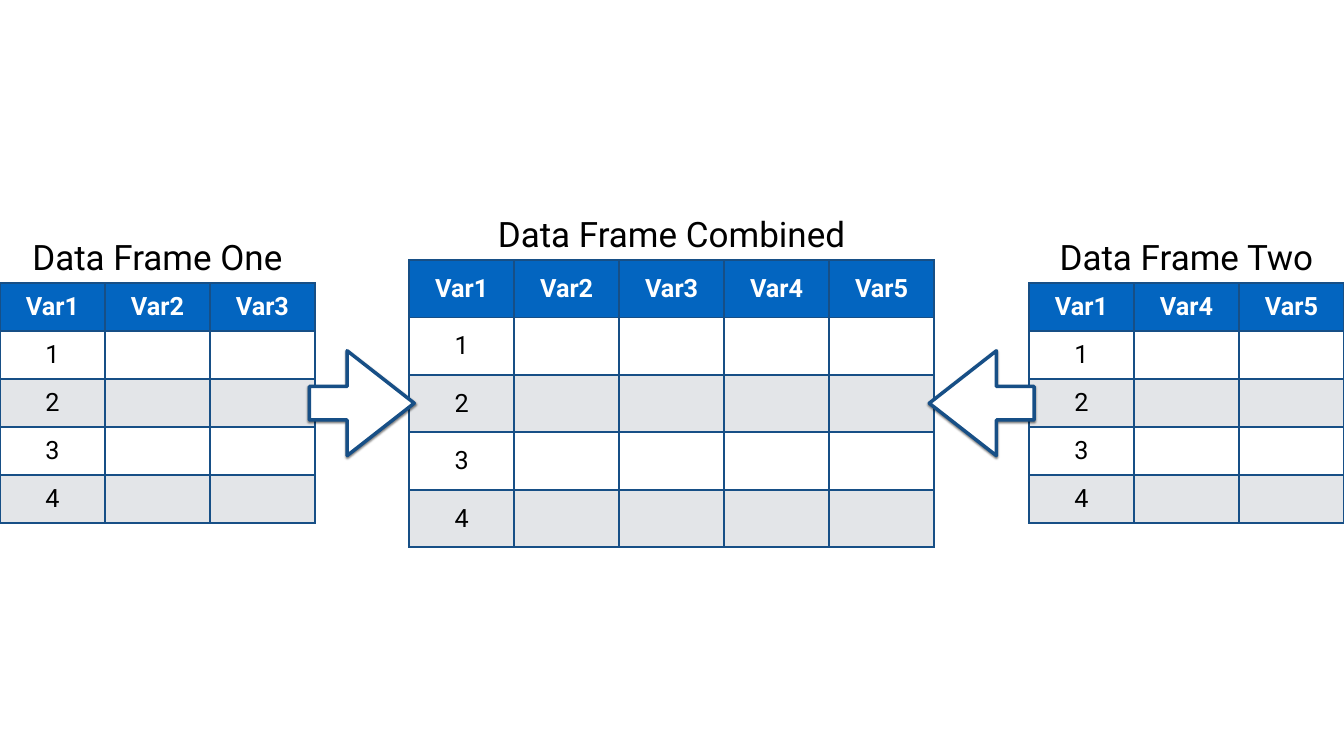
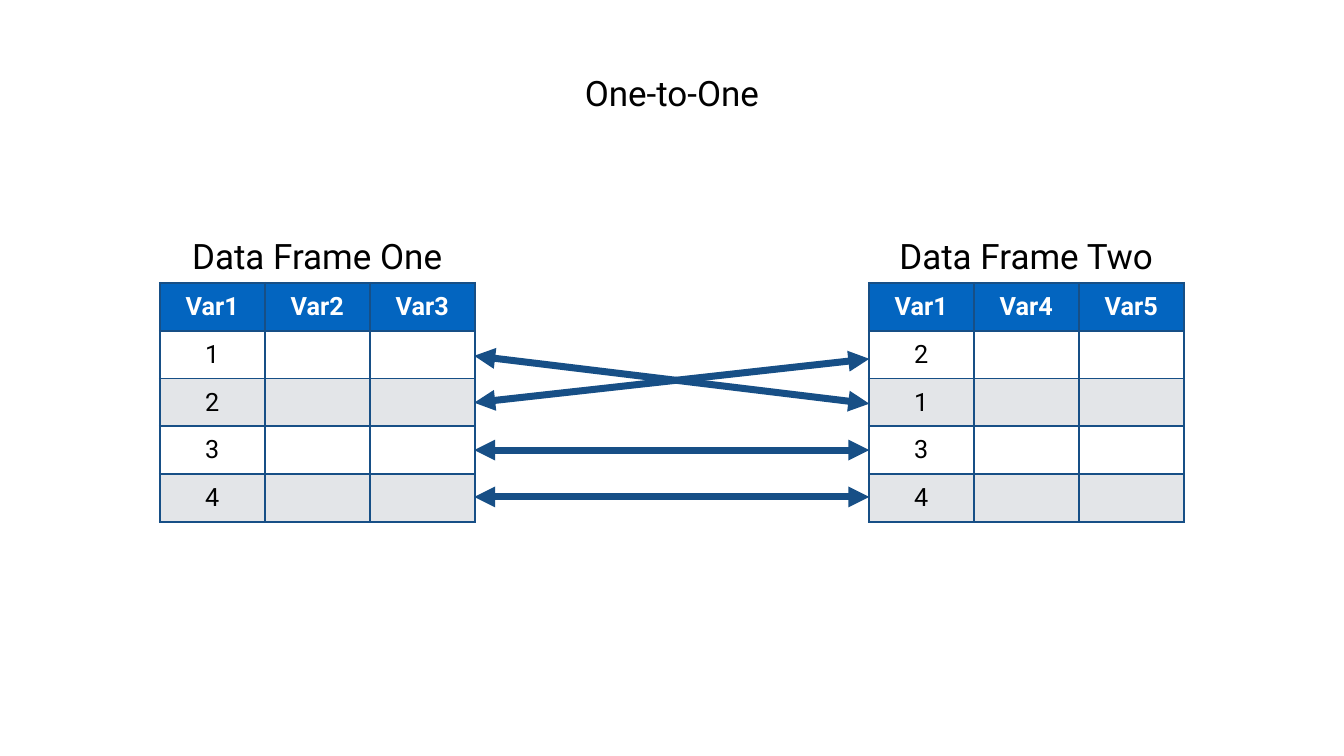
from dataclasses import dataclass

from lxml.etree import SubElement
from pptx import Presentation
from pptx.dml.color import RGBColor as Rgb
from pptx.enum.shapes import MSO_CONNECTOR as Connector, MSO_SHAPE as Preset
from pptx.enum.text import MSO_ANCHOR as Anchor, MSO_AUTO_SIZE as AutoSize, PP_ALIGN as Align
from pptx.oxml.ns import qn
from pptx.util import Inches, Pt


@dataclass(frozen=True)
class Theme:
    font: str = "Roboto"
    caption_size: int = 50
    cell_size: int = 36
    black: str = "000000"
    white: str = "FFFFFF"
    header: str = "0365C0"
    band: str = "E3E5E8"
    outline: str = "174F86"
    border_width: int = 3
    arrow_width: int = 5
    link_width: int = 10


theme = Theme()
SLIDE_WIDTH, SLIDE_HEIGHT = 26.67, 15
COLUMN_WIDTH = 25 / 12
ROW_HEIGHT = 0.95
INSET = Inches(0.06)


def write_text(holder, text, size=theme.caption_size, color=theme.black, bold=False):
    """Fill a text frame or a table cell with one centred, middle-anchored line."""
    holder.margin_left = holder.margin_right = INSET
    holder.margin_top = holder.margin_bottom = INSET
    holder.vertical_anchor = Anchor.MIDDLE
    frame = getattr(holder, "text_frame", holder)
    frame.word_wrap = False
    paragraph = frame.paragraphs[0]
    paragraph.alignment = Align.CENTER
    run = paragraph.add_run()
    run.text = text
    run.font.name = theme.font
    run.font.size = Pt(size)
    run.font.bold = bold
    run.font.color.rgb = Rgb.from_string(color)


def add_data_frame(slide, caption, caption_width, variables, keys, left, top,
                   row_height=ROW_HEIGHT):
    """Add a caption and the table below it; keys fill the first column."""
    width = COLUMN_WIDTH * len(variables)
    caption_box = slide.shapes.add_textbox(
        Inches(left + (width - caption_width) / 2), Inches(top - 1.01),
        Inches(caption_width), Inches(0.95))
    write_text(caption_box.text_frame, caption)
    caption_box.text_frame.auto_size = AutoSize.SHAPE_TO_FIT_TEXT

    row_count = len(keys) + 1
    table = slide.shapes.add_table(
        row_count, len(variables), Inches(left), Inches(top),
        Inches(width), Inches(row_height * row_count)).table
    table.horz_banding = False
    for column in table.columns:
        column.width = Inches(COLUMN_WIDTH)
    for row_index, row in enumerate(table.rows):
        row.height = Inches(row_height)
        is_header = row_index == 0
        fill_color = theme.header if is_header else (theme.band, theme.white)[row_index % 2]
        for column_index, cell in enumerate(row.cells):
            if is_header:
                write_text(cell, variables[column_index], size=theme.cell_size,
                           color=theme.white, bold=True)
            elif column_index == 0:
                write_text(cell, keys[row_index - 1], size=theme.cell_size)
            cell_properties = cell._tc.get_or_add_tcPr()
            for side in ("a:lnL", "a:lnR", "a:lnT", "a:lnB"):
                border = SubElement(cell_properties, qn(side), w=str(Pt(theme.border_width)))
                border_fill = SubElement(border, qn("a:solidFill"))
                SubElement(border_fill, qn("a:srgbClr"), val=theme.outline)
            cell.fill.solid()
            cell.fill.fore_color.rgb = Rgb.from_string(fill_color)


presentation = Presentation()
presentation.slide_width = Inches(SLIDE_WIDTH)
presentation.slide_height = Inches(SLIDE_HEIGHT)
blank = presentation.slide_layouts[6]

one = ("Data Frame One", 5.29, ("Var1", "Var2", "Var3"))
two = ("Data Frame Two", 5.25, ("Var1", "Var4", "Var5"))
combined = ("Data Frame Combined", 7.23, ("Var1", "Var2", "Var3", "Var4", "Var5"))

# Slide 1: two data frames merge into one
merge_slide = presentation.slides.add_slide(blank)
add_data_frame(merge_slide, *one, "1234", left=0, top=5.62)
add_data_frame(merge_slide, *two, "1234", left=20.42, top=5.62)
add_data_frame(merge_slide, *combined, "1234", left=8.12, top=5.16, row_height=1.14)

for arrow_left, rotation in ((6.14, 0), (18.44, 180)):
    merge_arrow = merge_slide.shapes.add_shape(
        Preset.RIGHT_ARROW, Inches(arrow_left), Inches(6.96), Inches(2.08), Inches(2.08))
    merge_arrow.rotation = rotation
    merge_arrow.adjustments[0] = 0.32
    merge_arrow.adjustments[1] = 0.64
    merge_arrow.fill.solid()
    merge_arrow.fill.fore_color.rgb = Rgb.from_string(theme.white)
    merge_arrow.line.color.rgb = Rgb.from_string(theme.outline)
    merge_arrow.line.width = Pt(theme.arrow_width)
    merge_arrow.shadow.inherit = False
    effects = merge_arrow._element.spPr.find(qn("a:effectLst"))
    shadow = SubElement(effects, qn("a:outerShdw"), blurRad=str(Pt(3)), dist=str(Pt(2)),
                        dir="5400000", rotWithShape="0")
    shadow_color = SubElement(shadow, qn("a:srgbClr"), val=theme.black)
    SubElement(shadow_color, qn("a:alpha"), val="50000")

# Slide 2: each row matches exactly one row
match_slide = presentation.slides.add_slide(blank)
for start_y, end_y in ((7.06, 8.01), (7.99, 7.12), (8.93, 8.93), (9.86, 9.86)):
    link = match_slide.shapes.add_connector(
        Connector.STRAIGHT, Inches(9.41), Inches(start_y), Inches(17.25), Inches(end_y))
    link.line.color.rgb = Rgb.from_string(theme.outline)
    link.line.width = Pt(theme.link_width)
    for line_end in ("a:headEnd", "a:tailEnd"):
        SubElement(link.line._ln, qn(line_end), type="triangle")
    SubElement(link._element.spPr, qn("a:effectLst"))

title_width = 3.79
title_box = match_slide.shapes.add_textbox(
    Inches((SLIDE_WIDTH - title_width) / 2), Inches(1.36), Inches(title_width), Inches(0.94))
write_text(title_box.text_frame, "One-to-One")
title_box.text_frame.auto_size = AutoSize.SHAPE_TO_FIT_TEXT

add_data_frame(match_slide, *one, "1234", left=3.17, top=5.61)
add_data_frame(match_slide, *two, "2134", left=17.24, top=5.61)

presentation.save("out.pptx")
